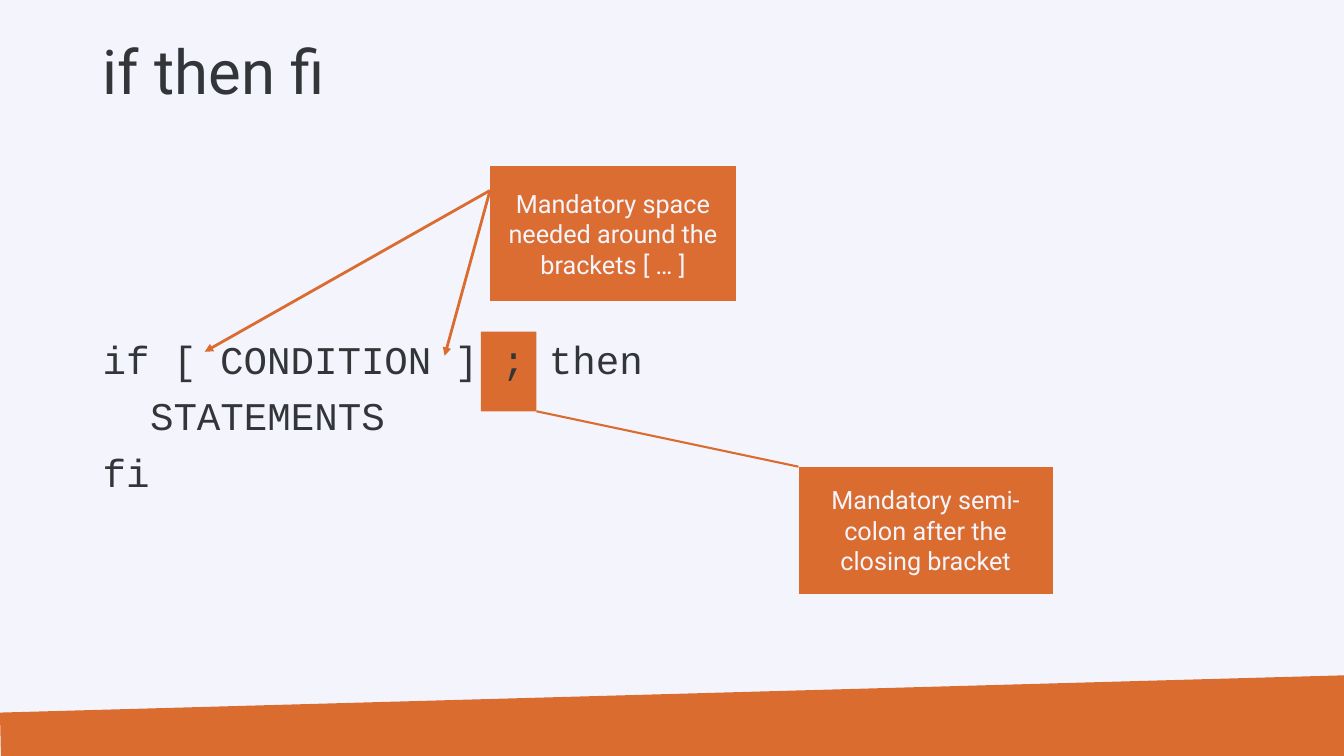
import pptx
import pptx.util
import pptx.dml.color
import pptx.enum.shapes
import pptx.enum.text
import pptx.oxml

Inches = pptx.util.Inches
Pt = pptx.util.Pt
Shapes = pptx.enum.shapes.MSO_SHAPE
Align = pptx.enum.text.PP_ALIGN
Anchor = pptx.enum.text.MSO_ANCHOR

ORANGE, CALLOUT_ORANGE = "DB6C30", "DB6D32"
PALE, DARK = "F4F5FC", "333639"
SLIDE_W, SLIDE_H = 13.33, 7.5


def rgb(value):
    """Turn a hex string into a colour."""
    return pptx.dml.color.RGBColor.from_string(value)


def fill_solid(shape, color):
    """Give a shape a plain fill without outline or shadow."""
    shape.fill.solid()
    shape.fill.fore_color.rgb = rgb(color)
    shape.line.fill.background()
    shape.shadow.inherit = False


def add_text(p, text, font, size, color, **formats):
    """Write one run in a paragraph and apply the paragraph formats."""
    r = p.add_run()
    r.text = text
    for name, value in {"name": font, "size": Pt(size)}.items():
        setattr(r.font, name, value)
    r.font.color.rgb = rgb(color)
    for name, value in formats.items():
        setattr(p, name, value)


def add_box(s, kind, box, color):
    """Add a filled preset shape in the given box."""
    sp = s.shapes.add_shape(kind, *map(Inches, box))
    fill_solid(sp, color)
    return sp


def add_line(s, start, end, width, arrow=False):
    """Draw a straight line, with an arrowhead at its end if wanted."""
    line = s.shapes.add_connector(
        pptx.enum.shapes.MSO_CONNECTOR.STRAIGHT, *map(Inches, start + end))
    line.line.color.rgb = rgb(ORANGE)
    line.line.width = Pt(width)
    ns = pptx.oxml.ns.qn
    props = line._element.spPr
    if arrow:
        head = props.find(ns("a:ln")).makeelement(ns("a:tailEnd"), {"type": "triangle"})
        props.find(ns("a:ln")).append(head)
    props.append(props.makeelement(ns("a:effectLst"), {}))


def add_band(s, box):
    """Draw the slanted band that rises to the right of its box."""
    x, y, w, h = box
    corners = [(x + w, y), (x + w, y + h), (x + 0.01, y + h)]
    outline = s.shapes.build_freeform(Inches(x), Inches(y + 0.37), 1.0)
    outline.add_line_segments([(Inches(a), Inches(b)) for a, b in corners], close=True)
    fill_solid(outline.convert_to_shape(), ORANGE)


def add_title(s, box, text):
    """Place and format the slide title."""
    title = s.shapes.title
    for name, value in zip(("left", "top", "width", "height"), box):
        setattr(title, name, Inches(value))
    tf = title.text_frame
    tf.vertical_anchor = Anchor.MIDDLE
    add_text(tf.paragraphs[0], text, "Roboto", 44, DARK,
             alignment=Align.LEFT, line_spacing=0.9)


def add_callout(s, box, text, color):
    """Add a callout with centred text."""
    sp = add_box(s, Shapes.LINE_CALLOUT_1, box, color)
    tf = sp.text_frame
    tf.word_wrap = True
    tf.vertical_anchor = Anchor.MIDDLE
    add_text(tf.paragraphs[0], text, "Roboto", 18, PALE, alignment=Align.CENTER)


def add_space_note(s, box):
    """Add the note on spaces with arrows to both gaps."""
    x, y, w, h = box
    for tip in ((2.03, 3.49), (4.41, 3.53)):
        add_line(s, (x, y + 0.24), tip, 2, arrow=True)
    add_callout(s, box, "Mandatory space needed around the brackets [ … ]", CALLOUT_ORANGE)


def add_semicolon_note(s, box, mark):
    """Add the note on the semi-colon, joined to its highlighted mark."""
    x, y, w, h = mark
    add_callout(s, box, "Mandatory semi-colon after the closing bracket", ORANGE)
    add_box(s, Shapes.RECTANGLE, mark, ORANGE)
    add_line(s, (x + w, y + h), box[:2], 1.5)


def add_code(s, box, lines):
    """Write code lines, each with its own left indent in inches."""
    tf = s.shapes.add_textbox(*map(Inches, box)).text_frame
    tf.word_wrap = True
    for i, (indent, text) in enumerate(lines):
        p = tf.add_paragraph() if i else tf.paragraphs[0]
        add_text(p, text, "Courier New", 28, DARK, line_spacing=0.9, space_before=Pt(10))
        p._p.get_or_add_pPr().set("marL", str(Inches(indent)))


def build_slide(prs):
    """Build the slide on the if statement."""
    s = prs.slides.add_slide(prs.slide_layouts[5])
    s.background.fill.solid()
    s.background.fill.fore_color.rgb = rgb(PALE)
    add_band(s, (0, 6.7, SLIDE_W, 0.8))
    add_title(s, (0.92, 0.01, 11.5, 1.45), "if then fi")
    add_space_note(s, (4.86, 1.65, 2.44, 1.34))
    add_semicolon_note(s, (7.92, 4.63, 2.52, 1.26), (4.77, 3.29, 0.55, 0.79))
    add_code(s, (0.92, 3.33, 6.16, 1.67),
             [(0, "if [ CONDITION ] ; then"), (0.47, "STATEMENTS"), (0, "fi")])


def main():
    """Create and save the presentation."""
    prs = pptx.Presentation()
    prs.slide_width, prs.slide_height = Inches(SLIDE_W), Inches(SLIDE_H)
    build_slide(prs)
    prs.save("out.pptx")


if __name__ == "__main__":
    main()
